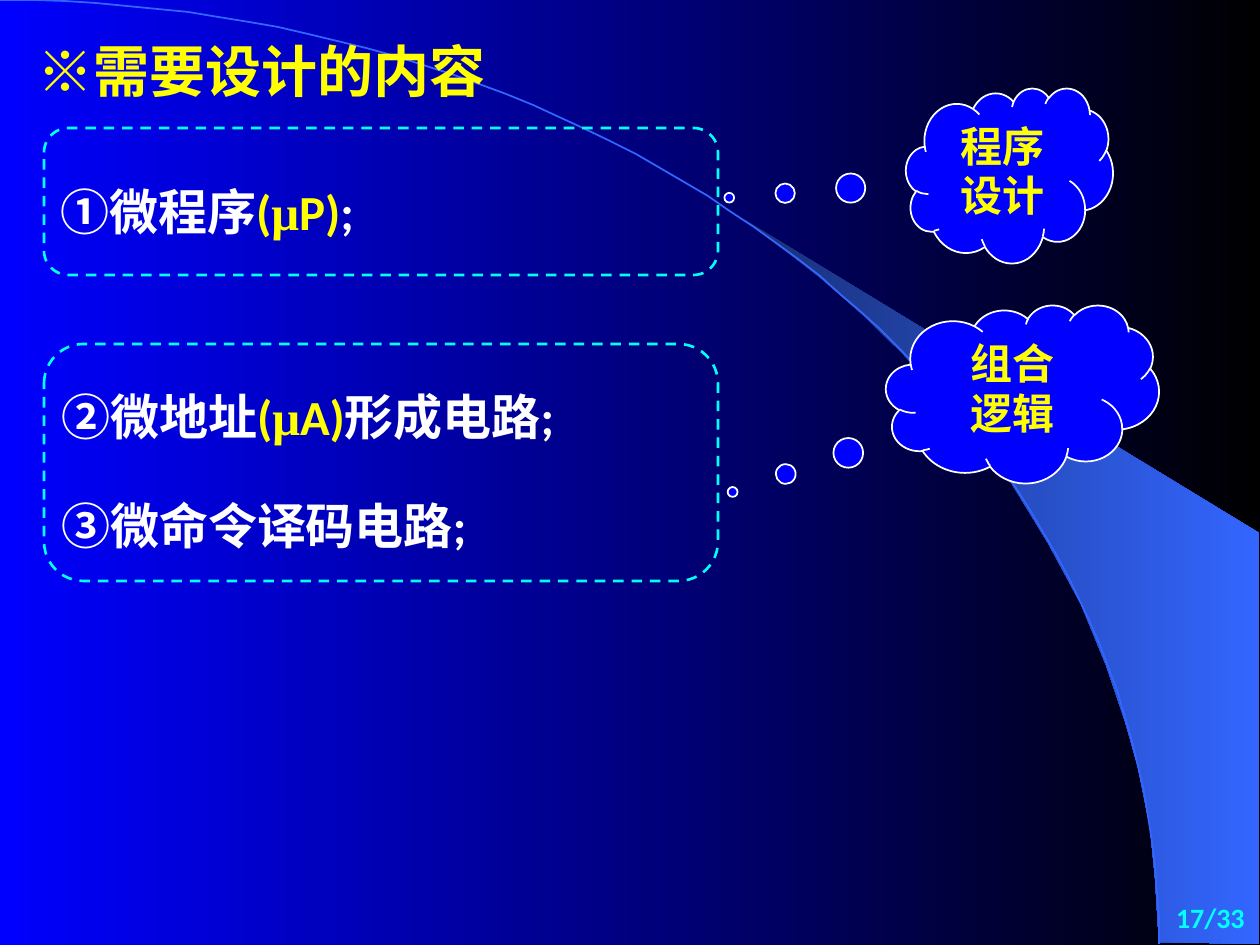
from dataclasses import dataclass

from lxml import etree
from pptx import Presentation
from pptx.dml.color import RGBColor
from pptx.enum.dml import MSO_LINE
from pptx.enum.shapes import MSO_SHAPE
from pptx.enum.text import MSO_ANCHOR, PP_ALIGN
from pptx.oxml.ns import qn
from pptx.util import Emu, Pt

DASH = MSO_LINE.DASH
ROUNDED = MSO_SHAPE.ROUNDED_RECTANGLE
CLOUD = MSO_SHAPE.CLOUD_CALLOUT
LEFT, CENTER, RIGHT = PP_ALIGN.LEFT, PP_ALIGN.CENTER, PP_ALIGN.RIGHT
TOP, MIDDLE = MSO_ANCHOR.TOP, MSO_ANCHOR.MIDDLE
EMU_PER_PX = 914400 / 126


@dataclass(frozen=True)
class Theme:
    blue: str = "0000FF"
    black: str = "000000"
    navy: str = "182F76"
    arc: str = "3366FF"
    yellow: str = "FFFF00"
    white: str = "FFFFFF"
    cyan: str = "00FFFF"
    cjk: str = "Noto Sans CJK SC"
    latin: str = "Calibri"
    greek: str = "Times New Roman"
    title_size: int = 32
    item_size: int = 28
    cloud_size: int = 24
    page_size: int = 16


THEME = Theme()

# Outer edge of the sweep, from its tip down to the foot of the arc
SWEEP = [(1159, 942), (1259, 944), (1259, 533), (742, 218), (786, 251),
         (823, 280), (863, 315), (902, 353), (960, 416), (1012, 484),
         (1048, 543), (1081, 604), (1106, 665), (1125, 721), (1138, 767),
         (1150, 827), (1155, 877)]
ARC = [(0, 0), (640, 0), (1159, 422), (1159, 944)]


def px(n):
    return Emu(round(n * EMU_PER_PX))


def rgb(color):
    return RGBColor.from_string(color)


def set_gradient(fill, start, end):
    fill.gradient()
    fill.gradient_angle = 0
    for stop, color in zip(fill.gradient_stops, (start, end)):
        stop.color.rgb = rgb(color)


def set_line(shape, color, width):
    shape.line.color.rgb = rgb(color)
    shape.line.width = Pt(width)


def add_outline(slide, points, close):
    builder = slide.shapes.build_freeform(*points[0], scale=EMU_PER_PX)
    builder.add_line_segments(points[1:], close=close)
    outline = builder.convert_to_shape()
    outline.shadow.inherit = False
    return outline


def bezier(points, steps=60):
    def at(t):
        weights = ((1 - t) ** 3, 3 * t * (1 - t) ** 2, 3 * t * t * (1 - t), t ** 3)
        return tuple(sum(w * p[axis] for w, p in zip(weights, points))
                     for axis in (0, 1))
    return [at(i / steps) for i in range(steps + 1)]


def write_text(shape, lines, size, spacing=None, align=LEFT, anchor=TOP, wrap=True):
    """Each line is a list of (text, color, latin font) runs."""
    frame = shape.text_frame
    frame.word_wrap = wrap
    frame.vertical_anchor = anchor
    for number, runs in enumerate(lines):
        paragraph = frame.add_paragraph() if number else frame.paragraphs[0]
        paragraph.alignment = align
        if spacing:
            paragraph.line_spacing = Pt(spacing)
        for text, color, font in runs:
            run = paragraph.add_run()
            run.text = text
            run.font.size = Pt(size)
            run.font.bold = True
            run.font.color.rgb = rgb(color)
            run.font.name = font
            east_asian = etree.SubElement(run.font._element, qn("a:ea"))
            east_asian.set("typeface", THEME.cjk)


def add_text(slide, box, lines, size, **layout):
    text_box = slide.shapes.add_textbox(*map(px, box))
    write_text(text_box, lines, size, **layout)


def add_frame(slide, box):
    frame = slide.shapes.add_shape(ROUNDED, *map(px, box))
    frame.shadow.inherit = False
    frame.fill.background()
    set_line(frame, THEME.cyan, 1.5)
    frame.line.dash_style = DASH


def add_cloud(slide, box, tail, words):
    cloud = slide.shapes.add_shape(CLOUD, *map(px, box))
    cloud.shadow.inherit = False
    cloud.adjustments[0], cloud.adjustments[1] = tail
    cloud.fill.solid()
    cloud.fill.fore_color.rgb = rgb(THEME.blue)
    set_line(cloud, THEME.white, 1)
    write_text(cloud, [[(word, THEME.yellow, THEME.cjk)] for word in words],
               THEME.cloud_size, spacing=28.5, align=CENTER, wrap=False)


def symbol(letter):
    return [("(", THEME.yellow, THEME.latin),
            ("μ", THEME.yellow, THEME.greek),
            (letter + ")", THEME.yellow, THEME.latin)]


def add_backdrop(slide):
    set_gradient(slide.background.fill, THEME.blue, THEME.black)
    sweep = add_outline(slide, SWEEP, close=True)
    set_gradient(sweep.fill, THEME.navy, THEME.arc)
    sweep.line.fill.background()
    arc = add_outline(slide, bezier(ARC), close=False)
    arc.fill.background()
    set_line(arc, THEME.arc, 1)


def main():
    deck = Presentation()
    deck.slide_width, deck.slide_height = px(1260), px(945)
    slide = deck.slides.add_slide(deck.slide_layouts[6])
    add_backdrop(slide)

    # Title
    add_text(slide, (25, 31, 605, 81),
             [[("※需要设计的内容", THEME.yellow, THEME.cjk)]],
             THEME.title_size, spacing=38)

    # Dashed frames around the two groups of items
    for top, height in ((128, 147), (344, 237)):
        add_frame(slide, (44, top, 674, height))

    # Thought clouds
    add_cloud(slide, (886, 305, 273, 178), (-1.062, 0.551), ("组合", "逻辑"))
    add_cloud(slide, (906, 88, 207, 175), (-1.354, 0.127), ("程序", "设计"))

    # Numbered items
    items = [
        (48, 171, 374, [("①微程序", THEME.white, THEME.cjk), *symbol("P"),
                        (";", THEME.white, THEME.latin)]),
        (49, 376, 601, [("②微地址", THEME.white, THEME.cjk), *symbol("A"),
                        ("形成电路;", THEME.white, THEME.latin)]),
        (49, 485, 452, [("③微命令译码电路", THEME.white, THEME.cjk),
                        (";", THEME.white, THEME.latin)]),
    ]
    for left, top, width, runs in items:
        add_text(slide, (left, top, width, 76), [runs], THEME.item_size, spacing=36)

    # Page number
    add_text(slide, (995, 893, 262, 49), [[("17/33", THEME.cyan, THEME.latin)]],
             THEME.page_size, align=RIGHT, anchor=MIDDLE)

    deck.save("out.pptx")


if __name__ == "__main__":
    main()
